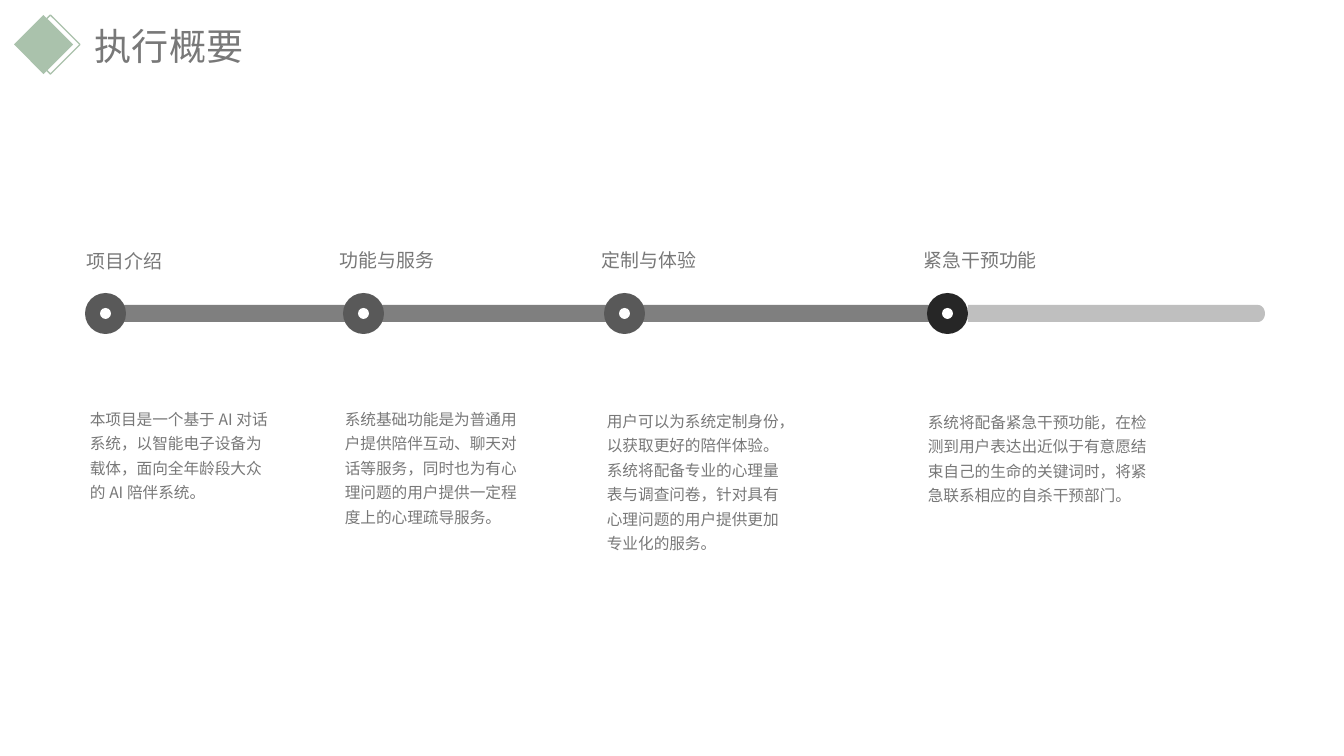
from math import cos, pi, sin

from lxml import etree
from pptx import Presentation
from pptx.dml.color import RGBColor
from pptx.enum.shapes import MSO_SHAPE
from pptx.enum.text import MSO_AUTO_SIZE
from pptx.oxml.ns import qn
from pptx.util import Emu, Pt

DIAMOND, OVAL = MSO_SHAPE.DIAMOND, MSO_SHAPE.OVAL
GROW, FIXED = MSO_AUTO_SIZE.SHAPE_TO_FIT_TEXT, MSO_AUTO_SIZE.NONE
CJK_FONT = "Noto Sans CJK SC"
PX = 914400 / 100.8

TITLE = "执行概要"
GREEN, GREY, DARK, WHITE = "AAC2AC", "787878", "595959", "FFFFFF"
# knob left, knob colour, heading, heading top, body, body box
STEPS = [
    (85, DARK, "项目介绍", 249,
     "本项目是一个基于AI对话系统，以智能电子设备为载体，面向全年龄段大众的AI陪伴系统。",
     (80, 399, 207, 108)),
    (343, DARK, "功能与服务", 248,
     "系统基础功能是为普通用户提供陪伴互动、聊天对话等服务，同时也为有心理问题的用户提供一定程度上的心理疏导服务。",
     (335, 399, 207, 133)),
    (604, DARK, "定制与体验", 248,
     "用户可以为系统定制身份，以获取更好的陪伴体验。系统将配备专业的心理量表与调查问卷，针对具有心理问题的用户提供更加专业化的服务。",
     (597, 401, 201, 158)),
    (927, "262626", "紧急干预功能", 248,
     "系统将配备紧急干预功能，在检测到用户表达出近似于有意愿结束自己的生命的关键词时，将紧急联系相应的自杀干预部门。",
     (918, 402, 244, 108)),
]
HEADING_LEFTS = [77, 330, 592, 914]
# flat end, round end, colour
BARS = [(968, 1265, "BFBFBF"), (948, 96, "7F7F7F")]
BAR_TOP, BAR_H, CAP = 305, 17, 7
KNOB_TOP, KNOB, DOT = 293, 41, 11


def px(n):
    return Emu(round(n * PX))


def rgb(color):
    return RGBColor.from_string(color)


def paint(sp, fill=None, line=None):
    sp.shadow.inherit = False
    if fill:
        sp.fill.solid()
        sp.fill.fore_color.rgb = rgb(fill)
    else:
        sp.fill.background()
    if line:
        sp.line.color.rgb = rgb(line)
        sp.line.width = Pt(1)
    else:
        sp.line.fill.background()


def add_preset(shapes, kind, x, y, size, **colors):
    paint(shapes.add_shape(kind, px(x), px(y), px(size), px(size)), **colors)


def add_text(text, box, size, font=CJK_FONT, spacing=None, bottom=0, fit=GROW):
    tf = slide.shapes.add_textbox(*map(px, box)).text_frame
    tf.word_wrap = True
    tf.auto_size = fit
    tf.margin_bottom = px(bottom)
    p = tf.paragraphs[0]
    if spacing:
        p.line_spacing = spacing
    r = p.add_run()
    r.text = text
    r.font.size = Pt(size)
    r.font.name = font
    r.font.color.rgb = rgb(GREY)
    etree.SubElement(r.font._element, qn("a:ea"), typeface=CJK_FONT)


def add_bar(flat, end, color):
    """Draw a bar with one flat end and one half-elliptic end."""
    radius = BAR_H / 2
    cap = CAP if end > flat else -CAP
    angles = [pi * i / 16 - pi / 2 for i in range(17)]
    arc = [(px(end - cap + cap * cos(a)), px(BAR_TOP + radius + radius * sin(a)))
           for a in angles]
    outline = slide.shapes.build_freeform(px(flat), px(BAR_TOP))
    outline.add_line_segments(arc + [(px(flat), px(BAR_TOP + BAR_H))], close=True)
    paint(outline.convert_to_shape(), fill=color)


prs = Presentation()
prs.slide_width, prs.slide_height = px(1344), px(756)
slide = prs.slides.add_slide(prs.slide_layouts[6])

add_preset(slide.shapes, DIAMOND, 14, 15, 59, fill=GREEN)
add_preset(slide.shapes, DIAMOND, 21, 15, 59, line=GREEN)
for bar in BARS:
    add_bar(*bar)

inset = (KNOB - DOT) / 2
for left, (x, color, heading, top, body, box) in zip(HEADING_LEFTS, STEPS):
    knob = slide.shapes.add_group_shape().shapes
    add_preset(knob, OVAL, x, KNOB_TOP, KNOB, fill=color)
    add_preset(knob, OVAL, x + inset, KNOB_TOP + inset, DOT, fill=WHITE)
    add_text(heading, (left, top, 143, 27), 13.5, font="Calibri", spacing=0.8)
    add_text(body, box, 11.2, spacing=1.3)

add_text(TITLE, (85, 18, 337, 57), 26.5, bottom=5, fit=FIXED)

prs.save("out.pptx")
